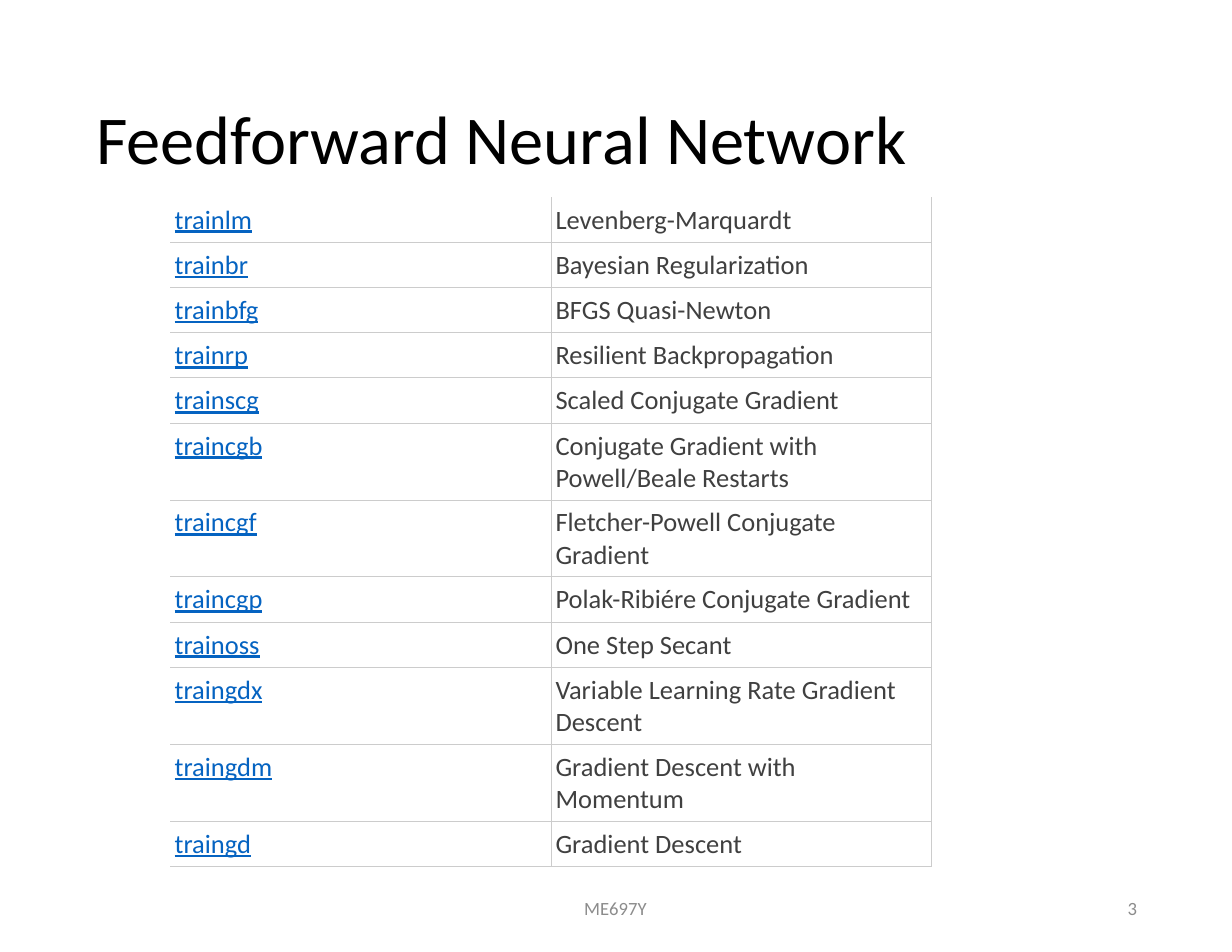
from lxml import etree
from pptx import Presentation
from pptx import util as u
from pptx.dml.color import RGBColor
from pptx.enum import text
from pptx.oxml import ns

PX = u.Inches(1) // 100
FONT = "Calibri"
BLACK = RGBColor(0x00, 0x00, 0x00)
WHITE = RGBColor(0xFF, 0xFF, 0xFF)
LINK_BLUE = RGBColor(0x05, 0x63, 0xC1)
BODY_GRAY = RGBColor(0x40, 0x40, 0x40)
FOOTER_GRAY = RGBColor(0x8C, 0x8C, 0x8C)
RULE_GRAY = RGBColor(0xCC, 0xCC, 0xCC)

TRAINING_FUNCTIONS = [
    ("trainlm", "Levenberg-Marquardt"),
    ("trainbr", "Bayesian Regularization"),
    ("trainbfg", "BFGS Quasi-Newton"),
    ("trainrp", "Resilient Backpropagation"),
    ("trainscg", "Scaled Conjugate Gradient"),
    ("traincgb", "Conjugate Gradient with Powell/Beale Restarts"),
    ("traincgf", "Fletcher-Powell Conjugate Gradient"),
    ("traincgp", "Polak-Ribiére Conjugate Gradient"),
    ("trainoss", "One Step Secant"),
    ("traingdx", "Variable Learning Rate Gradient Descent"),
    ("traingdm", "Gradient Descent with Momentum"),
    ("traingd", "Gradient Descent"),
]


def emu(box):
    """Turn px lengths into EMU."""
    return [length * PX for length in box]


def apply(target, formats):
    """Set each named format value on the target."""
    for name, value in formats.items():
        setattr(target, name, value)


def write(frame, words, size, color, align=text.PP_ALIGN.LEFT, underline=False):
    """Write one formatted line of words into a text frame."""
    para = frame.paragraphs[0]
    para.alignment = align
    span = para.add_run()
    span.text = words
    apply(span.font, {"name": FONT, "size": u.Pt(size), "underline": underline})
    span.font.color.rgb = color


def add_title(page, box, words):
    """Move the title placeholder into the box and fill it."""
    title = page.shapes.title
    apply(title, dict(zip(("left", "top", "width", "height"), emu(box))))
    apply(title.text_frame, {"vertical_anchor": text.MSO_ANCHOR.MIDDLE, "word_wrap": True})
    write(title.text_frame, words, 44, BLACK)
    title.text_frame.paragraphs[0].line_spacing = 0.9


def add_footer(page, box, words, align):
    """Add one small gray footer text in the box."""
    frame = page.shapes.add_textbox(*emu(box)).text_frame
    apply(frame, {"vertical_anchor": text.MSO_ANCHOR.MIDDLE, "word_wrap": True})
    write(frame, words, 12, FOOTER_GRAY, align)


def add_borders(cell, visible):
    """Draw the visible sides of a cell and clear the others."""
    properties = cell._tc.get_or_add_tcPr()
    for side in "LRTB":
        line = etree.SubElement(properties, ns.qn(f"a:ln{side}"), w=str(u.Pt(0.75)))
        if side in visible:
            fill = etree.SubElement(line, ns.qn("a:solidFill"))
            etree.SubElement(fill, ns.qn("a:srgbClr"), val=str(RULE_GRAY))
        else:
            etree.SubElement(line, ns.qn("a:noFill"))


def add_function_table(page, box, rows):
    """Add the two-column table of training functions, open at top and left."""
    table = page.shapes.add_table(len(rows), 2, *emu(box)).table
    apply(table, {"first_row": False, "horz_banding": False})
    margins = {"margin_left": 4 * PX, "margin_right": 4 * PX,
               "margin_top": 6 * PX, "margin_bottom": 6 * PX}
    for r, row in enumerate(rows):
        table.rows[r].height = box[3] // len(rows) * PX
        for c, words in enumerate(row):
            cell = table.cell(r, c)
            apply(cell, margins)
            add_borders(cell, "RB" + "T" * (r > 0) + "L" * (c > 0))
            cell.fill.solid()
            cell.fill.fore_color.rgb = WHITE
            color = BODY_GRAY if c else LINK_BLUE
            write(cell.text_frame, words, 17, color, underline=c == 0)


def main():
    """Build the slide and save the deck."""
    deck = Presentation()
    apply(deck, {"slide_width": 1100 * PX, "slide_height": 850 * PX})
    page = deck.slides.add_slide(deck.slide_layouts[5])
    add_title(page, (76, 45, 949, 164), "Feedforward Neural Network")
    add_footer(page, (364, 788, 371, 45), "ME697Y", text.PP_ALIGN.CENTER)
    add_footer(page, (777, 788, 248, 45), "3", text.PP_ALIGN.RIGHT)
    add_function_table(page, (152, 176, 680, 480), TRAINING_FUNCTIONS)
    deck.save("out.pptx")


if __name__ == "__main__":
    main()
